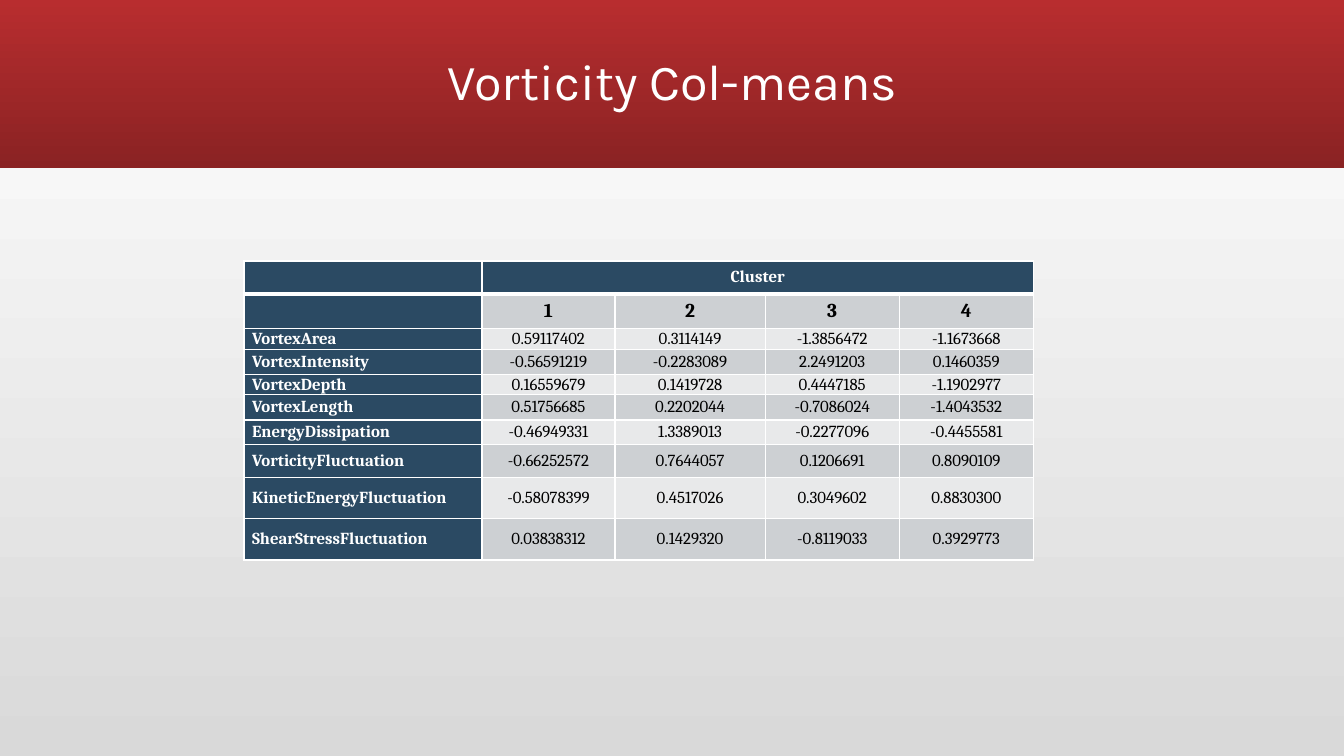
from lxml import etree
from pptx import Presentation
from pptx import util as u
from pptx.dml.color import RGBColor
from pptx.enum import shapes, text
from pptx.oxml.ns import qn

WHITE = RGBColor(0xFF, 0xFF, 0xFF)
BLACK = RGBColor(0, 0, 0)
RED = RGBColor(0xB8, 0x2D, 0x2F)
DARK_RED = RGBColor(0x8A, 0x22, 0x23)
GREY = RGBColor(0xD9, 0xD9, 0xD9)
NAVY = RGBColor(0x2B, 0x4A, 0x63)
BANDS = (RGBColor(0xE8, 0xE9, 0xEA), RGBColor(0xCD, 0xD0, 0xD3))

COLS = (2.36, 1.32, 1.49, 1.33, 1.33)
ROWS = (0.3, 0.33, 0.21, 0.25, 0.2, 0.25, 0.24, 0.33, 0.41, 0.41)
DATA = (
    ("", "Cluster", "", "", ""),
    ("", "1", "2", "3", "4"),
    ("VortexArea", "0.59117402", "0.3114149", "-1.3856472", "-1.1673668"),
    ("VortexIntensity", "-0.56591219", "-0.2283089", "2.2491203", "0.1460359"),
    ("VortexDepth", "0.16559679", "0.1419728", "0.4447185", "-1.1902977"),
    ("VortexLength", "0.51756685", "0.2202044", "-0.7086024", "-1.4043532"),
    ("EnergyDissipation", "-0.46949331", "1.3389013", "-0.2277096", "-0.4455581"),
    ("VorticityFluctuation", "-0.66252572", "0.7644057", "0.1206691", "0.8090109"),
    ("KineticEnergyFluctuation", "-0.58078399", "0.4517026", "0.3049602", "0.8830300"),
    ("ShearStressFluctuation", "0.03838312", "0.1429320", "-0.8119033", "0.3929773"),
)


def set_attrs(obj, values):
    for name, value in values.items():
        setattr(obj, name, value)


def set_gradient(fill, colors, angle):
    fill.gradient()
    fill.gradient_angle = angle
    for stop, position, color in zip(fill.gradient_stops, (0, 1), colors):
        stop.position = position
        stop.color.rgb = color


def add_header(s, x, y, w, h):
    # Red band, placed behind the title
    band = s.shapes.add_shape(shapes.MSO_SHAPE.RECTANGLE, *map(u.Inches, (x, y, w, h)))
    band.shadow.inherit = False
    band.line.fill.background()
    set_gradient(band.fill, (RED, DARK_RED), 270)
    s.shapes.title._element.addprevious(band._element)

    # Title
    title = s.shapes.title
    box = dict(left=x + 1.17, top=y + 0.11, width=w - 2.33, height=h - 0.22)
    set_attrs(title, {k: u.Inches(v) for k, v in box.items()})
    tf = title.text_frame
    set_attrs(tf, dict(text="Vorticity Col-means", word_wrap=True,
                       vertical_anchor=text.MSO_ANCHOR.MIDDLE))
    p = tf.paragraphs[0]
    set_attrs(p, dict(alignment=text.PP_ALIGN.CENTER, line_spacing=0.9))
    set_attrs(p.runs[0].font, dict(name="Karla", size=u.Pt(36)))
    p.runs[0].font.color.rgb = WHITE


def set_borders(cell, bottom, top):
    tcPr = cell._tc.get_or_add_tcPr()
    widths = dict(lnL=1, lnR=1, lnT=top, lnB=bottom)
    for i, (side, width) in enumerate(widths.items()):
        ln = etree.Element(qn(f"a:{side}"), w=str(u.Pt(width)))
        fill = etree.SubElement(ln, qn("a:solidFill"))
        etree.SubElement(fill, qn("a:srgbClr"), val=str(WHITE))
        tcPr.insert(i, ln)


def format_cell(cell, value, row, col):
    heading = row < 2
    dark = row == 0 or col == 0
    cell.fill.solid()
    cell.fill.fore_color.rgb = NAVY if dark else BANDS[row % 2]
    set_borders(cell, bottom=3 if row == 0 else 1, top=3 if row == 1 else 1)
    mx, my = (u.Inches(0.11), u.Inches(0.06)) if heading else (u.Inches(0.08), 0)
    set_attrs(cell, dict(margin_left=mx, margin_right=mx, margin_top=my, margin_bottom=my,
                         vertical_anchor=text.MSO_ANCHOR.MIDDLE))
    p = cell.text_frame.paragraphs[0]
    if not value:
        # Keeps an empty cell from stretching its row
        etree.SubElement(p._p, qn("a:endParaRPr"), sz="1200")
        return
    p.alignment = text.PP_ALIGN.CENTER if heading or col else text.PP_ALIGN.LEFT
    r = p.add_run()
    r.text = value
    set_attrs(r.font, dict(name="Cambria", size=u.Pt(14 if row == 1 else 12),
                           bold=heading or col == 0))
    r.font.color.rgb = WHITE if dark else BLACK


def add_means_table(s, x, y):
    frame = s.shapes.add_table(len(ROWS), len(COLS), u.Inches(x), u.Inches(y),
                               u.Inches(sum(COLS)), u.Inches(sum(ROWS)))
    table = frame.table
    for column, width in zip(table.columns, COLS):
        column.width = u.Inches(width)
    for row, height in zip(table.rows, ROWS):
        row.height = u.Inches(height)
    for i, values in enumerate(DATA):
        for j, value in enumerate(values):
            format_cell(table.cell(i, j), value, i, j)
    table.cell(0, 1).merge(table.cell(0, 4))


def main():
    prs = Presentation()
    set_attrs(prs, dict(slide_width=u.Inches(13.33), slide_height=u.Inches(7.5)))
    s = prs.slides.add_slide(prs.slide_layouts[5])
    set_gradient(s.background.fill, (GREY, WHITE), 90)
    add_header(s, 0, 0, 13.33, 1.67)
    add_means_table(s, 2.42, 2.59)
    prs.save("out.pptx")


if __name__ == "__main__":
    main()
